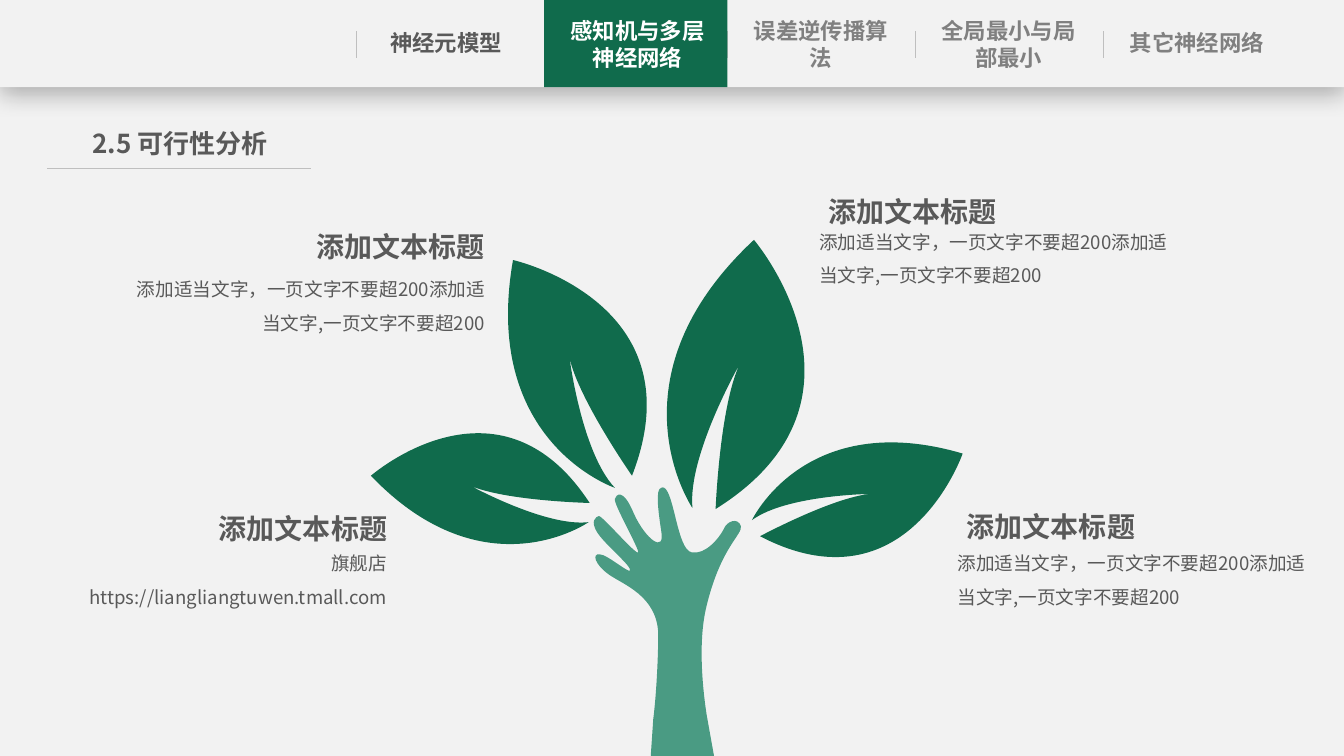
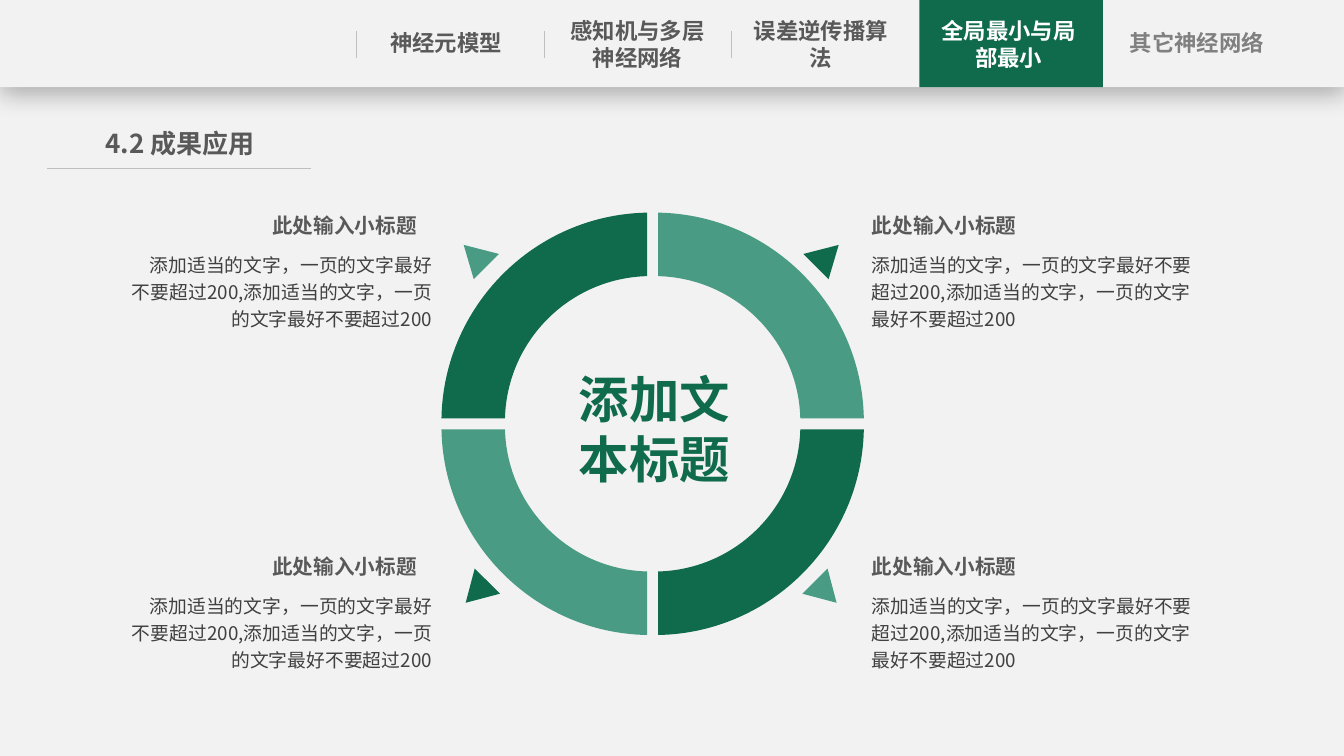
from lxml import etree
from pptx import Presentation
from pptx.dml.color import RGBColor
from pptx.enum.shapes import MSO_CONNECTOR, MSO_SHAPE
from pptx.enum.text import MSO_ANCHOR, MSO_AUTO_SIZE, PP_ALIGN
from pptx.oxml.ns import qn
from pptx.util import Inches, Pt

LEFT, CENTER, RIGHT = PP_ALIGN.LEFT, PP_ALIGN.CENTER, PP_ALIGN.RIGHT
TOP, GROW = MSO_ANCHOR.TOP, MSO_AUTO_SIZE.SHAPE_TO_FIT_TEXT
RECTANGLE, STRAIGHT = MSO_SHAPE.RECTANGLE, MSO_CONNECTOR.STRAIGHT

FONT = "Noto Sans CJK SC"
PAPER, WHITE, RULE = "F2F2F2", "FFFFFF", "BFBFBF"
GREEN, MINT = "106B4C", "4A9B83"
INK, DARK, MUTED = "595959", "404040", "808080"

CELL = Inches(0.1)
COLUMNS, ROWS = 133.33, 75
BAND_ROWS = 8.65
NAV_LEFT, NAV_PITCH, TAB_COLUMNS = 35.35, 18.62, 18.2
LABEL_COLUMNS = 14.7
CHAPTERS = [
    ("神经元模型", 36.9, 2.4, 3.8),
    ("感知机与多层神经网络", 55.9, 1.2, 6.4),
    ("误差逆传播算法", 74.1, 1.25, 6.4),
    ("全局最小与局部最小", 92.7, 1.2, 6.4),
    ("其它神经网络", 111.4, 2.4, 3.8),
]

TIGHT = (0, 0.5)
NORMAL = (1, 0.5)
SNUG = (0.8, 0.4)

TIP = "添加适当文字，一页文字不要超200添加适当文字,一页文字不要超200"
SHOP = "旗舰店\nhttps://liangliangtuwen.tmall.com"
CALLOUT_COLUMNS, HEADING_COLUMNS = 37, 19.6
CALLOUTS = [
    (80.3, 17.1, 21.3, LEFT, TIP),
    (94, 48.4, 53.2, LEFT, TIP),
    (12.1, 20.6, 26, RIGHT, TIP),
    (2.4, 48.6, 53.2, RIGHT, SHOP),
]
LEAVES = [
    ((61, 48.4), [(47.7, 43.9, 50.9, 25.8), (69.4, 30, 62.7, 47.2), (57.4, 39.6, 56.5, 35.5),
                  (57.7, 44.9, 61, 48.4)]),
    ((68.7, 50.4), [(60, 37.6, 74.8, 23.8), (88.3, 39.7, 71, 50.5), (71.4, 40.3, 73.4, 36.1),
                    (68.2, 45.2, 68.7, 50.4)]),
    ((74.6, 51.6), [(79.9, 40.4, 95.5, 45), (90, 60.8, 75.4, 53.2), (82.7, 49.3, 86.4, 49),
                    (78, 49.1, 74.6, 51.6)]),
    ((58.4, 51.8), [(48.1, 59, 36.8, 47.2), (49.5, 36.1, 58.5, 49.9), (50.2, 49.7, 46.7, 48.2),
                    (54.2, 52.3, 58.4, 51.8)]),
]
HAND = ((65.6, 48.4), [
    (65.7, 48.3, 65.8, 48.4, 65.9, 48.4), (66.9, 49, 67.2, 54.5, 68.6, 54.8),
    (70, 55.1, 71.4, 53.3, 71.8, 52.5), (72.1, 51.7, 73.2, 51.3, 73.5, 52.2),
    (73.7, 53, 71.5, 54.3, 70.1, 60.1), (69.3, 63.3, 69.6, 67.6, 70.1, 70.9),
    (71.3, 77.6), (64.4, 77.6), (64.4, 77.4), (64.5, 75.8, 64.8, 71.5, 64.8, 71.4),
    (65.1, 69.1, 65.3, 65.3, 65.3, 62.9), (65.2, 59.1, 61.8, 58, 60.4, 57),
    (59, 56, 58.7, 54.9, 59.5, 55), (60.2, 55, 62.4, 56.9, 62.5, 56.6),
    (62.7, 56.2, 60.1, 54.1, 59.3, 52.9), (58.5, 51.7, 59.1, 51.3, 59.4, 51.2),
    (59.7, 51.1, 63.1, 55.1, 63.3, 54.8), (63.5, 54.6, 60.8, 49.9, 61, 49.5),
    (61.1, 49.1, 61.8, 48.3, 62.9, 51), (64.1, 53.6, 66, 54.9, 65.6, 52.7),
    (65.3, 50.7, 65, 48.5, 65.6, 48.4),
])

CAPTION = "添加适当的文字，一页的文字最好不要超过200,添加适当的文字，一页的文字最好不要超过200"
CAPTION_ROWS = (20.7, 54.6)
RING_X, RING_Y = 64.75, 42.05
QUARTER = ((0.55, 20.95), [
    (11.75, 20.75, 20.75, 11.65, 20.95, 0.55), (14.65, 0.55),
    (14.45, 8.25, 8.25, 14.45, 0.55, 14.65), (0.55, 20.95),
])
POINTER_AXIS = 64.6
POINTERS = [
    ((83.2, 24.3), [(82.2, 27.7), (79.7, 25.2), (83.2, 24.3)], GREEN, MINT),
    ((82.1, 56.4), [(83, 59.8), (79.6, 58.9), (82.1, 56.4)], MINT, GREEN),
]


def cells(*counts):
    """Turn counts of grid cells into slide lengths."""
    return [round(count * CELL) for count in counts]


def color(value):
    """Turn a hex string into a colour."""
    return RGBColor.from_string(value)


def paint(shape, fill):
    """Give a shape a flat fill without outline or shadow."""
    shape.shadow.inherit = False
    shape.fill.solid()
    shape.fill.fore_color.rgb = color(fill)
    shape.line.fill.background()
    return shape


def add_block(slide, left, top, width, height, fill):
    """Draw a flat rectangle."""
    return paint(slide.shapes.add_shape(RECTANGLE, *cells(left, top, width, height)), fill)


def add_rule(slide, x1, y1, x2, y2):
    """Draw a hairline."""
    rule = slide.shapes.add_connector(STRAIGHT, *cells(x1, y1, x2, y2))
    rule.line.color.rgb = color(RULE)
    rule.line.width = Pt(0.5)
    etree.SubElement(rule._element.spPr, qn("a:effectLst"))


def pairs(numbers):
    """Group a flat run of coordinates into points."""
    return list(zip(numbers[::2], numbers[1::2]))


def add_outline(slide, start, segments, fill):
    """Draw a closed outline of lines (2 numbers) and curves (4 or 6)."""
    runs, pen = [], start
    for segment in segments:
        runs.append(pairs((*pen, *segment) if len(segment) == 4 else segment))
        pen = segment[-2:]
    builder = slide.shapes.build_freeform(*cells(*start), scale=1.0)
    builder.add_line_segments([cells(*point) for run in runs for point in run], close=True)
    outline = paint(builder.convert_to_shape(), fill)
    strokes = iter(outline._element.findall(".//" + qn("a:lnTo")))
    for run in runs:
        group = [next(strokes) for _ in run]
        if len(group) == 3:
            curve = etree.Element(qn("a:cubicBezTo"))
            group[0].addprevious(curve)
            for stroke in group:
                curve.append(stroke[0])
                stroke.getparent().remove(stroke)


def mirror(numbers, x, y, x_sign, y_sign):
    """Place coordinates relative to a centre, flipped by signs."""
    return tuple(value for dx, dy in pairs(numbers)
                 for value in (x + x_sign * dx, y + y_sign * dy))


def write(frame, text, size, ink, bold=False, align=LEFT, spacing=None, insets=NORMAL):
    """Fill a text frame with uniformly formatted paragraphs."""
    frame.text = text
    frame.word_wrap = True
    frame.auto_size = GROW
    frame.vertical_anchor = TOP
    frame.margin_left = frame.margin_right = cells(insets[0])[0]
    frame.margin_top = frame.margin_bottom = cells(insets[1])[0]
    for paragraph in frame.paragraphs:
        paragraph.alignment = align
        paragraph.line_spacing = spacing
        font = paragraph.font
        font.size, font.bold, font.name = Pt(size), bold, FONT
        font.color.rgb = color(ink)
        defaults = paragraph._p.pPr.find(qn("a:defRPr"))
        etree.SubElement(defaults, qn("a:ea"), typeface=FONT)


def add_text(slide, left, top, width, height, text, size, ink, **style):
    """Place a text box."""
    box = slide.shapes.add_textbox(*cells(left, top, width, height))
    write(box.text_frame, text, size, ink, **style)


def add_band(slide):
    """Draw the navigation band with its soft shadow."""
    band = add_block(slide, 0, 0, COLUMNS, BAND_ROWS, PAPER)
    effects = band._element.spPr.find(qn("a:effectLst"))
    shadow = etree.SubElement(effects, qn("a:outerShdw"), blurRad=str(Pt(18)), dist=str(Pt(4)),
                              dir="5400000", algn="t", rotWithShape="0")
    tone = etree.SubElement(shadow, qn("a:srgbClr"), val="000000")
    etree.SubElement(tone, qn("a:alpha"), val="29000")


def add_navigation(slide, active, dividers):
    """Draw the chapter bar and highlight the active chapter."""
    add_band(slide)
    for index in dividers:
        gap = NAV_PITCH - TAB_COLUMNS if index > active else 0
        edge = NAV_LEFT + index * NAV_PITCH - gap
        add_rule(slide, edge, 3.1, edge, 5.8)
    add_block(slide, NAV_LEFT + active * NAV_PITCH, 0, TAB_COLUMNS, BAND_ROWS, GREEN)
    for index, (chapter, left, top, height) in enumerate(CHAPTERS):
        ink = WHITE if index == active else INK if index < active else MUTED
        add_text(slide, left, top, LABEL_COLUMNS, height, chapter, 16, ink,
                 bold=True, align=CENTER, insets=TIGHT)


def start_slide(deck, title, active, dividers):
    """Add a slide with navigation and an underlined title."""
    slide = deck.slides.add_slide(deck.slide_layouts[5])
    add_navigation(slide, active, dividers)
    heading = slide.shapes.title
    heading.left, heading.top, heading.width, heading.height = cells(7.5, 12.1, 20.7, 4.2)
    write(heading.text_frame, title, 18.6, INK, bold=True, align=CENTER, insets=TIGHT)
    add_rule(slide, 4.7, 16.7, 30.9, 16.7)
    return slide


def add_callout(slide, left, top, body_top, align, text):
    """Place a heading and its text beside a leaf."""
    shift = CALLOUT_COLUMNS - HEADING_COLUMNS if align == RIGHT else 0
    add_text(slide, left + shift, top, HEADING_COLUMNS, 5.5, "添加文本标题", 20, INK,
             bold=True, align=RIGHT, spacing=1.5)
    add_text(slide, left, body_top, CALLOUT_COLUMNS, 7.7, text, 13.3, INK,
             align=align, spacing=1.5)


def add_caption(slide, heading_left, left, top, width, align):
    """Place a small heading and its text beside the ring."""
    add_text(slide, heading_left, top, 21.2, 3.3, "此处输入小标题", 14.7, INK,
             bold=True, align=align, insets=SNUG)
    add_text(slide, left, top + 3.6, width, 9, CAPTION, 13.4, DARK,
             align=align, spacing=1.2, insets=SNUG)


def add_mirrored(slide, start, segments, x, y, x_sign, y_sign, fill):
    """Draw an outline flipped about a centre."""
    flip = (x, y, x_sign, y_sign)
    add_outline(slide, mirror(start, *flip),
                [mirror(segment, *flip) for segment in segments], fill)


def build_feasibility(deck):
    """Build the hand-shaped tree with four leaves."""
    slide = start_slide(deck, "2.5 可行性分析", 1, (0, 2, 3, 4))
    for start, segments in LEAVES:
        add_outline(slide, start, segments, GREEN)
    add_outline(slide, *HAND, MINT)
    for callout in CALLOUTS:
        add_callout(slide, *callout)


def build_application(deck):
    """Build the four-part ring with its captions."""
    slide = start_slide(deck, "4.2 成果应用", 3, (0, 1, 2))
    for start, segments, right_fill, left_fill in POINTERS:
        add_outline(slide, start, segments, right_fill)
        add_mirrored(slide, start, segments, 2 * POINTER_AXIS, 0, -1, 1, left_fill)
    for x_sign in (-1, 1):
        for y_sign in (-1, 1):
            fill = GREEN if x_sign == y_sign else MINT
            add_mirrored(slide, *QUARTER, RING_X, RING_Y, x_sign, y_sign, fill)
    add_text(slide, 54.3, 36.1, 21.2, 12.9, "添加文\n本标题", 36, GREEN,
             bold=True, align=CENTER, insets=SNUG)
    for top in CAPTION_ROWS:
        add_caption(slide, 85.7, 85.7, top, 33.4, LEFT)
        add_caption(slide, 20.95, 12.25, top, 31.4, RIGHT)


def add_backdrop(deck):
    """Move a full-size backdrop behind everything on the master."""
    backdrop = add_block(deck.slides[0], 0, 0, COLUMNS, ROWS, PAPER)
    deck.slide_master.shapes._spTree.insert(2, backdrop._element)


def main():
    """Build and save the deck."""
    deck = Presentation()
    deck.slide_width, deck.slide_height = cells(COLUMNS, ROWS)
    build_feasibility(deck)
    build_application(deck)
    add_backdrop(deck)
    deck.save("out.pptx")


if __name__ == "__main__":
    main()
